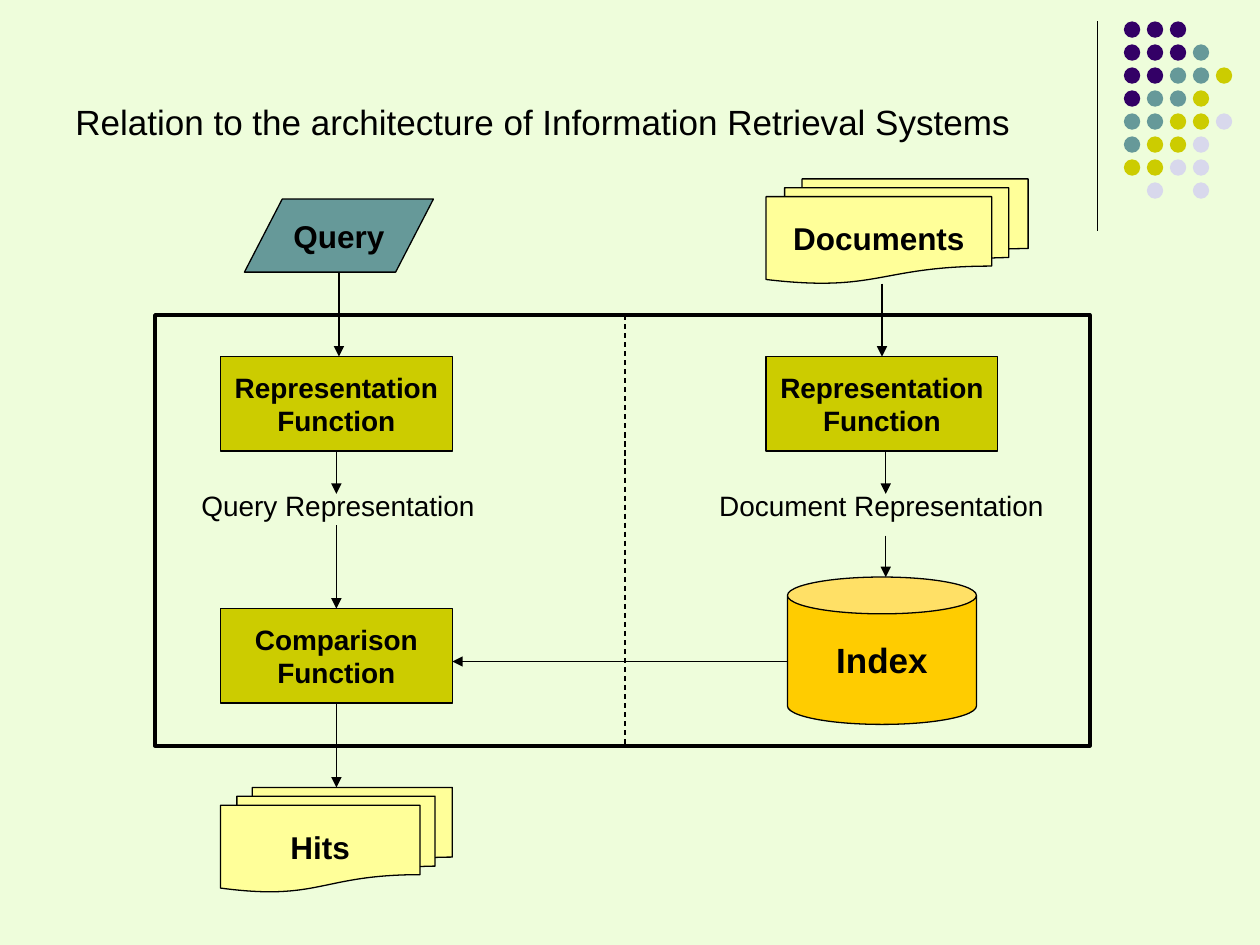
from dataclasses import dataclass
from typing import Optional

from pptx import Presentation
from pptx.dml.color import RGBColor
from pptx.enum.dml import MSO_LINE
from pptx.enum.shapes import MSO_CONNECTOR as Connector, MSO_SHAPE as Preset
from pptx.enum.text import MSO_ANCHOR as Anchor, MSO_AUTO_SIZE as AutoSize, PP_ALIGN as Align
from pptx.oxml.ns import qn
from pptx.util import Inches, Pt
from lxml.etree import SubElement

BLACK, PURPLE, TEAL, OLIVE, LILAC = "000000", "330066", "669999", "CCCC00", "D8D8EC"
PAPER, AMBER, MINT = "FFFF99", "FFCC00", "EEFDDB"

DOT_COLOURS = {"P": PURPLE, "T": TEAL, "O": OLIVE, "L": LILAC}
DOT_ROWS = ["PPP", "PPPT", "PPTTO", "PTTO", "TTOOL", "TOOL", "OOLL", ".L.L"]
DOT_LEFT, DOT_TOP, DOT_SIZE = 8.92, 0.17, 0.13
DOT_STEP = (9.65 - DOT_LEFT) / 4


@dataclass
class Node:
    name: str
    preset: int
    area: tuple[float, float, float, float]
    fill: Optional[str]
    lines: tuple[str, ...] = ()
    size: int = 16
    border: float = 0.75


@dataclass
class Label:
    text: str
    area: tuple[float, float, float, float]
    size: int = 16


@dataclass
class Link:
    start: tuple[float, float]
    end: tuple[float, float]
    source: Optional[tuple[str, int]] = None
    target: Optional[tuple[str, int]] = None
    arrow: bool = True
    dash: Optional[int] = None


NODES = [
    Node("documents", Preset.FLOWCHART_MULTIDOCUMENT, (6.08, 1.42, 2.08, 0.83), PAPER, ("Documents",), 18),
    Node("query", Preset.FLOWCHART_DATA, (1.94, 1.58, 1.5, 0.58), TEAL, ("Query",), 18),
    Node("hits", Preset.FLOWCHART_MULTIDOCUMENT, (1.75, 6.25, 1.84, 0.83), PAPER, ("Hits",), 18),
    Node("query function", Preset.RECTANGLE, (1.75, 2.83, 1.84, 0.75), OLIVE, ("Representation", "Function")),
    Node("document function", Preset.RECTANGLE, (6.08, 2.83, 1.84, 0.75), OLIVE, ("Representation", "Function")),
    Node("comparison", Preset.RECTANGLE, (1.75, 4.83, 1.84, 0.75), OLIVE, ("Comparison", "Function")),
    Node("index", Preset.CAN, (6.25, 4.58, 1.5, 1.17), AMBER, ("Index",), 20),
    Node("system", Preset.RECTANGLE, (1.23, 2.5, 7.42, 3.42), None, border=2),
]

LABELS = [
    Label("Query Representation", (1.5, 3.83, 2.5, 0.37)),
    Label("Document Representation", (5.61, 3.83, 2.95, 0.37)),
    Label("Relation to the architecture of Information Retrieval Systems", (0.5, 0.75, 7.8, 0.44), 20),
]

LINKS = [
    Link((8.71, 0.17), (8.71, 1.83), arrow=False),
    Link((2.67, 3.58), (2.67, 3.92), source=("query function", 2)),
    Link((7.03, 3.58), (7.03, 3.92)),
    Link((7.03, 4.25), (7.03, 4.58)),
    Link((2.69, 2.17), (2.69, 2.83)),
    Link((7, 2.25), (7, 2.83), target=("document function", 0)),
    Link((6.25, 5.25), (3.59, 5.25)),
    Link((2.67, 5.58), (2.67, 6.25), source=("comparison", 2)),
    Link((2.67, 4.17), (2.67, 4.83), target=("comparison", 0)),
    Link((4.96, 2.5), (4.96, 5.92), arrow=False, dash=MSO_LINE.DASH),
]


def paint(format_part, colour: str) -> None:
    if hasattr(format_part, "solid"):
        format_part.solid()
        format_part = format_part.fore_color
    format_part.rgb = RGBColor.from_string(colour)


def apply(target, values: dict) -> None:
    for name, value in values.items():
        setattr(target, name, value)


def write(box, lines: tuple[str, ...], size: int, bold: bool, align: int, frame_format: dict) -> None:
    frame = box.text_frame
    apply(frame, frame_format)
    for number, line in enumerate(lines):
        para = frame.add_paragraph() if number else frame.paragraphs[0]
        para.alignment = align
        span = para.add_run()
        span.text = line
        apply(span.font, {"name": "Arial", "size": Pt(size), "bold": bold})
        paint(span.font.color, BLACK)


def draw_node(page, node: Node):
    shape = page.shapes.add_shape(node.preset, *map(Inches, node.area))
    shape.shadow.inherit = False
    if node.fill:
        paint(shape.fill, node.fill)
    else:
        shape.fill.background()
    if node.border:
        paint(shape.line.fill, BLACK)
        shape.line.width = Pt(node.border)
    else:
        shape.line.fill.background()
    if node.lines:
        write(shape, node.lines, node.size, True, Align.CENTER,
              {"word_wrap": False, "vertical_anchor": Anchor.MIDDLE})
    return shape


def draw_label(page, label: Label) -> None:
    box = page.shapes.add_textbox(*map(Inches, label.area))
    write(box, (label.text,), label.size, False, Align.LEFT,
          {"word_wrap": True, "auto_size": AutoSize.SHAPE_TO_FIT_TEXT})


def draw_link(page, link: Link, shapes: dict) -> None:
    connector = page.shapes.add_connector(Connector.STRAIGHT, *map(Inches, link.start + link.end))
    if link.source:
        connector.begin_connect(shapes[link.source[0]], link.source[1])
    if link.target:
        connector.end_connect(shapes[link.target[0]], link.target[1])
    paint(connector.line.fill, BLACK)
    apply(connector.line, {"width": Pt(0.75), "dash_style": link.dash})
    if link.arrow:
        SubElement(connector.line._get_or_add_ln(), qn("a:tailEnd"), type="triangle")
    SubElement(connector._element.spPr, qn("a:effectLst"))


def draw_dots(page) -> None:
    for row, colours in enumerate(DOT_ROWS):
        for column, key in enumerate(colours):
            if key in DOT_COLOURS:
                area = (DOT_LEFT + column * DOT_STEP, DOT_TOP + row * DOT_STEP, DOT_SIZE, DOT_SIZE)
                draw_node(page, Node("dot", Preset.OVAL, area, DOT_COLOURS[key], border=0))


def main() -> None:
    deck = Presentation()
    apply(deck, {"slide_width": Inches(10), "slide_height": Inches(7.5)})
    page = deck.slides.add_slide(deck.slide_layouts[6])
    paint(page.background.fill, MINT)
    draw_dots(page)
    shapes = {node.name: draw_node(page, node) for node in NODES}
    for label in LABELS:
        draw_label(page, label)
    for link in LINKS:
        draw_link(page, link, shapes)
    deck.save("out.pptx")


if __name__ == "__main__":
    main()
